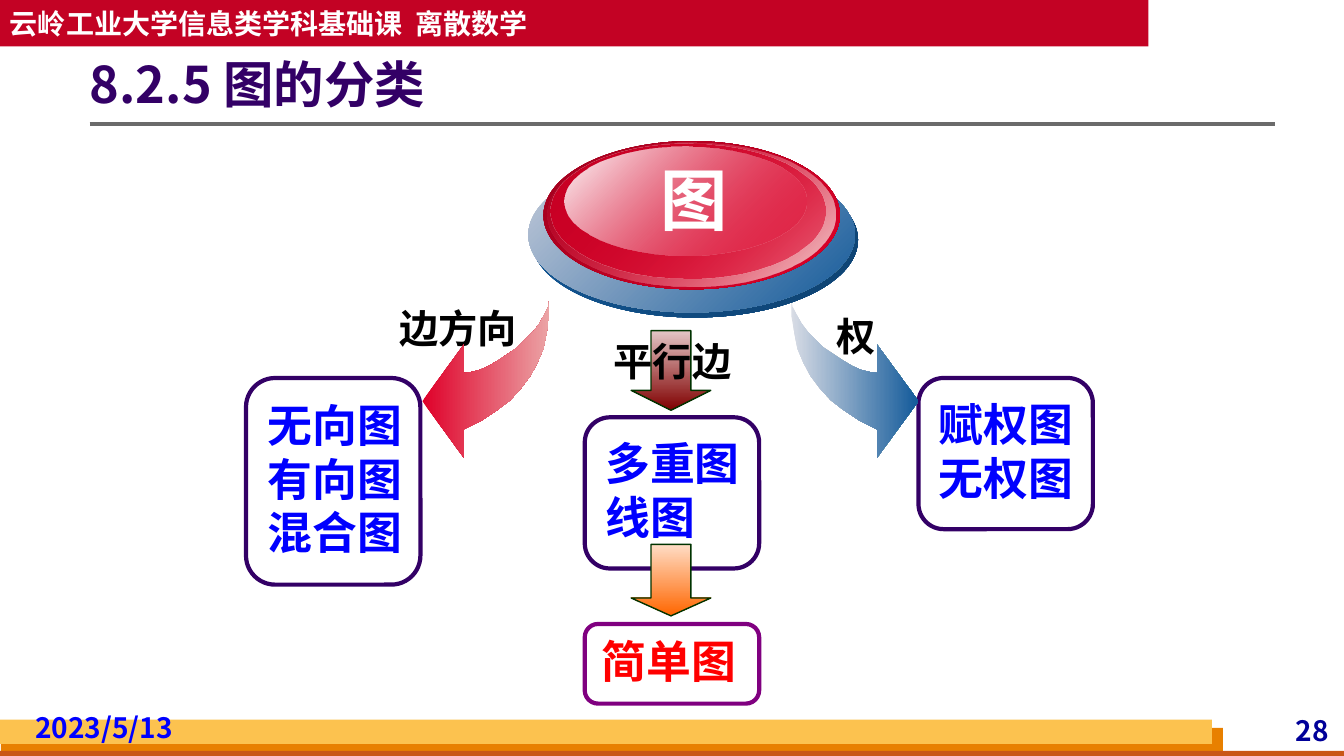
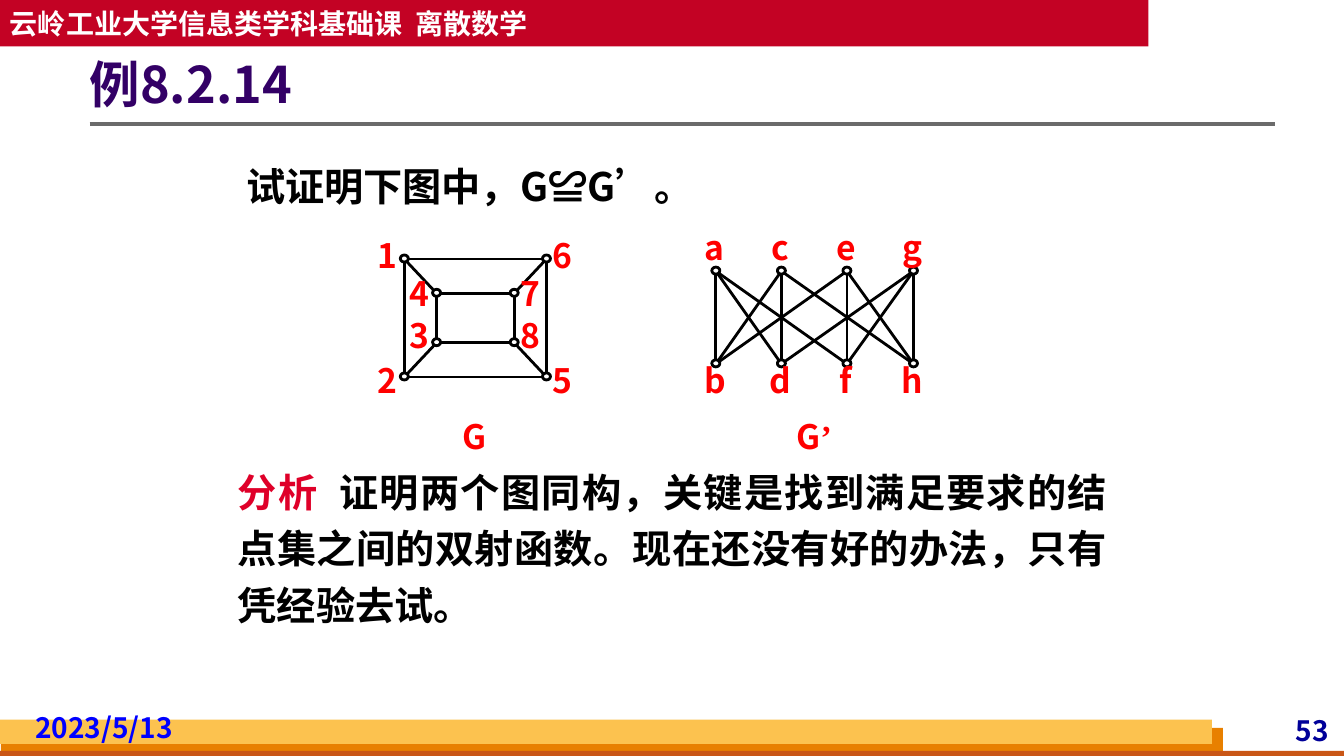
from lxml.etree import SubElement
from pptx import Presentation
from pptx.dml.color import RGBColor
from pptx.enum.shapes import MSO_CONNECTOR, MSO_SHAPE
from pptx.enum.text import MSO_ANCHOR, MSO_AUTO_SIZE, PP_ALIGN
from pptx.oxml.ns import qn
from pptx.util import Pt

EMU_PER_PX = 9144
CJK = "Noto Sans CJK SC"
PURPLE, CRIMSON, NAVY = "330066", "DF0029", "135A9A"
BLUE, RED, BLACK, WHITE = "0000FF", "FF0000", "000000", "FFFFFF"


def px(*lengths):
    return [length * EMU_PER_PX for length in lengths]


def color(value):
    return RGBColor.from_string(value)


def write(frame, *paragraphs, size=28, ink=BLACK, font=CJK, align=PP_ALIGN.LEFT,
          spacing=None, anchor=MSO_ANCHOR.TOP, insets=(10, 5, 10, 5), wrap=True):
    frame.auto_size = MSO_AUTO_SIZE.NONE
    frame.word_wrap = wrap
    frame.vertical_anchor = anchor
    (frame.margin_left, frame.margin_top,
     frame.margin_right, frame.margin_bottom) = px(*insets)
    for index, runs in enumerate(paragraphs):
        paragraph = frame.add_paragraph() if index else frame.paragraphs[0]
        paragraph.alignment = align
        if spacing:
            paragraph.line_spacing = spacing
        for text, run_ink, run_font in [(runs, ink, font)] if isinstance(runs, str) else runs:
            run = paragraph.add_run()
            run.text = text
            run.font.size = Pt(size)
            run.font.bold = True
            run.font.color.rgb = color(run_ink)
            run.font.name = run_font
            SubElement(run.font._element, qn("a:ea")).set("typeface", run_font)


class Deck:
    LABEL = dict(align=PP_ALIGN.CENTER, spacing=1.2)
    FOOTER = dict(size=20, insets=(4, 0, 4, 0))

    def __init__(self):
        self.presentation = Presentation()
        self.presentation.slide_width, self.presentation.slide_height = px(1333, 750)
        self.slide = None

    def add_slide(self, title, number):
        layout = self.presentation.slide_layouts[1]
        self.slide = self.presentation.slides.add_slide(layout)
        background = self.slide.background.fill
        background.solid()
        background.fore_color.rgb = color(WHITE)
        self.shape((1, 722, 1212, 28), fill="E88000")
        self.shape((0, 745, 1333, 5), fill="C95616")
        self.shape((0, 714, 1202, 24), fill="FCC24F")
        self.text((1160, 708, 162, 33), str(number), ink="000099",
                  align=PP_ALIGN.RIGHT, **self.FOOTER)
        self.line((89, 123), (1265, 123), "6B6B6B", 3)
        header = self.shape((0, 0, 1139, 46), fill="C30224")
        write(header.text_frame, "云岭工业大学信息类学科基础课  离散数学", size=20,
              ink=WHITE, anchor=MSO_ANCHOR.MIDDLE, wrap=False)
        self.text((31, 705, 221, 33), "2023/5/13", ink=BLUE, **self.FOOTER)
        self.place(self.slide.shapes.title, (89, 36, 1176, 101))
        write(self.slide.shapes.title.text_frame, title, size=36, ink=PURPLE,
              spacing=0.9, anchor=MSO_ANCHOR.MIDDLE, insets=(0, 5, 10, 5))

    def place(self, shape, box):
        shape.left, shape.top, shape.width, shape.height = px(*box)

    def body(self, box, text, **style):
        placeholder = self.slide.placeholders[1]
        self.place(placeholder, box)
        write(placeholder.text_frame, text, **style)
        for paragraph in placeholder.text_frame.paragraphs:
            properties = paragraph._p.get_or_add_pPr()
            properties.set("marL", "0")
            properties.set("indent", "0")
            SubElement(properties, qn("a:buNone"))

    def text(self, box, *paragraphs, **style):
        write(self.slide.shapes.add_textbox(*px(*box)).text_frame, *paragraphs, **style)

    def paint(self, shape, fill=None, gradient=None, angle=0, line=None, width=1):
        shape.shadow.inherit = False
        if gradient:
            shape.fill.gradient()
            shape.fill.gradient_angle = (360 - angle) % 360
            for stop, (value, opacity) in zip(shape.fill.gradient_stops, gradient):
                stop.color.rgb = color(value)
                if opacity < 100:
                    node = stop._gs.find(qn("a:srgbClr"))
                    SubElement(node, qn("a:alpha")).set("val", str(opacity * 1000))
        elif fill:
            shape.fill.solid()
            shape.fill.fore_color.rgb = color(fill)
        else:
            shape.fill.background()
        if line:
            shape.line.color.rgb = color(line)
            shape.line.width = Pt(width)
        else:
            shape.line.fill.background()

    def shape(self, box, kind=MSO_SHAPE.RECTANGLE, **style):
        shape = self.slide.shapes.add_shape(kind, *px(*box))
        self.paint(shape, **style)
        return shape

    def outline(self, points, **style):
        builder = self.slide.shapes.build_freeform(*points[0], scale=EMU_PER_PX)
        builder.add_line_segments(points[1:], close=True)
        self.paint(builder.convert_to_shape(), **style)

    def line(self, start, end, ink=BLACK, width=2):
        connector = self.slide.shapes.add_connector(
            MSO_CONNECTOR.STRAIGHT, *px(*start, *end))
        connector.line.color.rgb = color(ink)
        connector.line.width = Pt(width)
        SubElement(connector._element.spPr, qn("a:effectLst"))

    def class_box(self, box, *names, ink=BLUE, border=PURPLE):
        shape = self.shape(box, MSO_SHAPE.ROUNDED_RECTANGLE, line=border, width=3)
        write(shape.text_frame, *names, size=32, ink=ink,
              anchor=MSO_ANCHOR.MIDDLE, insets=(13, 0, 5, 6))

    def down_arrow(self, box, start, end):
        arrow = self.shape(box, MSO_SHAPE.DOWN_ARROW, angle=90, line="003300",
                           gradient=((start, 100), (end, 100)))
        arrow.adjustments[0], arrow.adjustments[1] = 0.5, 0.25

    def graph(self, vertices, edges):
        for start, end in edges.split():
            self.line(vertices[start][:2], vertices[end][:2])
        for name, (x, y, label_x, label_y) in vertices.items():
            self.shape((x - 4, y - 4, 8, 7), MSO_SHAPE.OVAL,
                       fill=WHITE, line=BLACK, width=2)
            self.graph_label((label_x, label_y, 24, 41), name)

    def graph_label(self, box, text):
        self.text(box, text, size=24, ink=RED, align=PP_ALIGN.CENTER,
                  insets=(0, 0, 0, 0))


def add_classification(deck):
    deck.add_slide("8.2.5 图的分类", 28)
    deck.body((383, 288, 142, 59), "边方向", **deck.LABEL)
    deck.class_box((244, 375, 173, 205), "无向图", "有向图", "混合图")
    deck.class_box((911, 375, 173, 150), "赋权图无权图")
    deck.class_box((580, 414, 173, 150), "多重图", "线图")
    deck.class_box((580, 619, 173, 79), "简单图", ink=RED, border="800080")

    left_arrow = [
        (545, 296), (545, 314), (542, 331), (539, 346), (533, 360), (526, 373),
        (517, 385), (506, 397), (493, 407), (478, 417), (460, 426), (460, 454),
        (419, 398), (460, 342), (460, 370), (468, 369), (476, 367), (485, 363),
        (495, 357), (504, 351), (513, 345), (521, 337), (529, 329), (535, 321),
        (540, 312), (544, 304)]
    right_arrow = [(1330 - x, y) for x, y in left_arrow]
    deck.outline(left_arrow, gradient=((CRIMSON, 100), ("EBA4A6", 100)))
    deck.outline(right_arrow, gradient=(("D8DCE5", 100), (NAVY, 100)))

    button_layers = [
        ((527, 161, 324, 154), (NAVY, 100), ("0E4271", 100)),
        ((524, 156, 324, 154), ("C6CCDA", 100), (NAVY, 100)),
        ((539, 140, 294, 147), ("A0001D", 100), (CRIMSON, 100)),
        ((543, 141, 286, 143), (CRIMSON, 0), ("F4D4D4", 100)),
        ((546, 142, 273, 134), ("CA0025", 100), (CRIMSON, 48)),
        ((560, 145, 240, 108), (WHITE, 100), (CRIMSON, 38))]
    for box, start, end in button_layers:
        deck.shape(box, MSO_SHAPE.OVAL, gradient=(start, end), angle=45)
    deck.text((644, 152, 88, 91), "图", size=48, ink=WHITE, font="Arial",
              align=PP_ALIGN.CENTER)

    deck.down_arrow((626, 328, 79, 79), "E3C6C6", "800000")
    deck.down_arrow((626, 540, 79, 71), "FFDDC6", "FF6600")
    deck.text((778, 296, 142, 59), "权", **deck.LABEL)
    deck.text((596, 320, 142, 59), "平行边", **deck.LABEL)


def add_isomorphism(deck):
    deck.add_slide("例8.2.14", 53)
    prose = dict(align=PP_ALIGN.JUSTIFY, spacing=1.2)
    deck.body((234, 147, 882, 59), "试证明下图中，G≌G’。", **prose)

    nested_squares = {
        "1": (401, 257, 372, 233), "2": (401, 374, 372, 357),
        "3": (433, 340, 404, 312), "4": (433, 291, 404, 271),
        "5": (542, 374, 546, 357), "6": (542, 257, 546, 233),
        "7": (510, 291, 514, 271), "8": (510, 340, 514, 312)}
    deck.graph(nested_squares, "16 25 12 65 14 67 23 58 43 78 47 38")

    bipartite = {}
    for column, (upper, lower) in enumerate(("ab", "cd", "ef", "gh")):
        x = 710 + 196 * column // 3
        bipartite[upper] = (x, 269, x - 13, 225)
        bipartite[lower] = (x, 361, x - 13, 357)
    deck.graph(bipartite, "ab ad af cb cd ch eb ef eh gd gf gh")

    deck.graph_label((446, 413, 49, 41), "G")
    deck.graph_label((783, 413, 49, 41),
                     [("G", RED, CJK), ("’", RED, "Times New Roman")])
    deck.text((226, 450, 882, 178),
              [("分析  ", CRIMSON, CJK),
               ("证明两个图同构，关键是找到满足要求的结点集之间的双射函数。"
                "现在还没有好的办法，只有凭经验去试。", BLACK, CJK)], **prose)


def main():
    deck = Deck()
    add_classification(deck)
    add_isomorphism(deck)
    deck.presentation.save("out.pptx")


if __name__ == "__main__":
    main()
